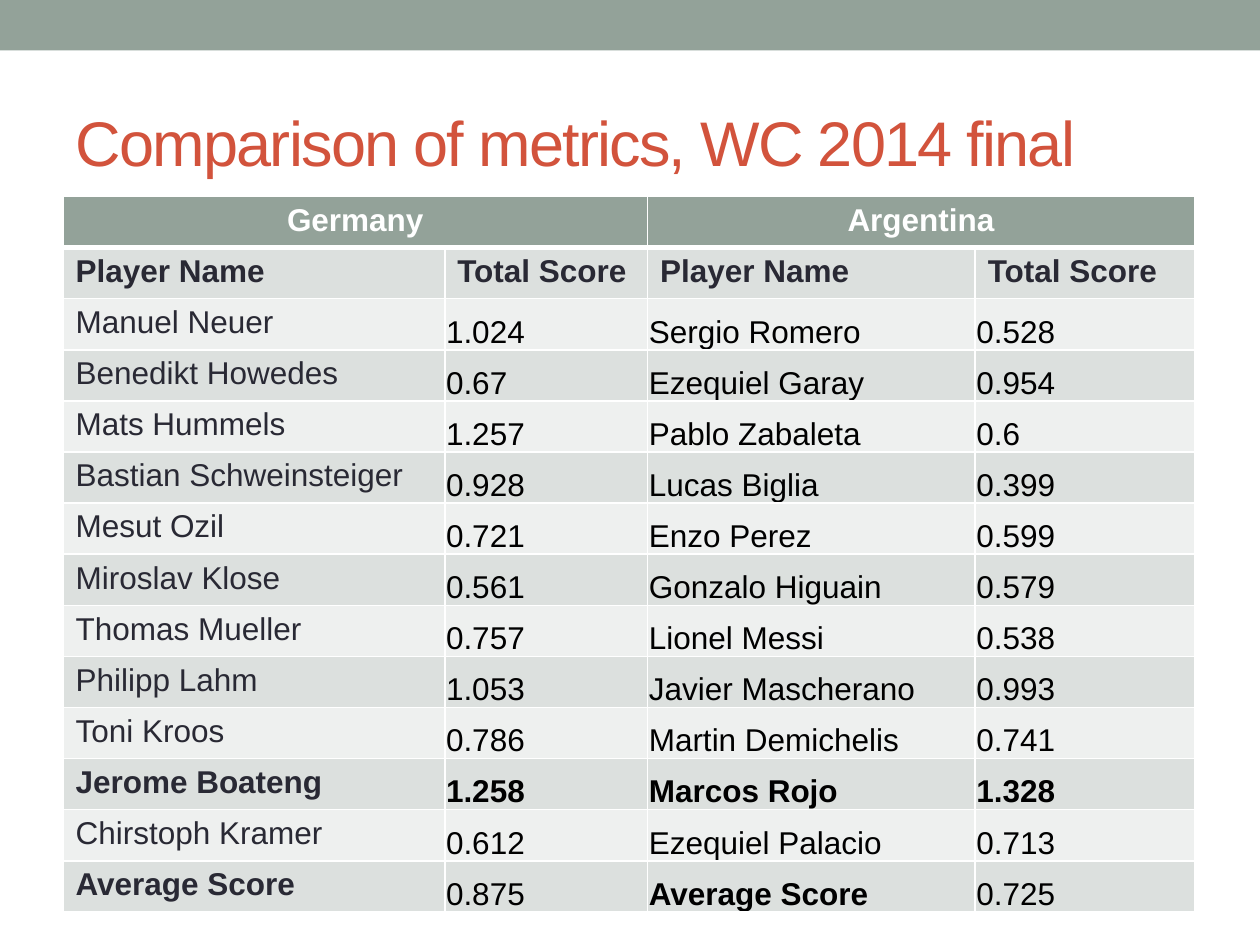
from dataclasses import dataclass

from lxml.etree import SubElement
from pptx import Presentation
from pptx.dml.color import RGBColor
from pptx.enum.shapes import MSO_SHAPE as Shape
from pptx.enum.text import MSO_ANCHOR as Anchor, PP_ALIGN as Align
from pptx.oxml.ns import qn
from pptx.util import Inches, Pt

COLORS = {
    "sage": "93A299", "rust": "D2533C", "ink": "292934", "black": "000000",
    "white": "FFFFFF", "dark_row": "DCE0DE", "light_row": "EEF0EF",
}
FONT = "Arial"
COLUMN_WIDTHS = (3.03, 1.61, 2.6, 1.74)
TABLE_LEFT, TABLE_TOP, TABLE_HEIGHT = 0.5, 1.56, 5.68


@dataclass(frozen=True)
class Entry:
    name: str
    score: str
    bold_name: bool = False
    bold_score: bool = False


@dataclass(frozen=True)
class CellStyle:
    fill: str
    color: str
    bold: bool = False
    align: Align = Align.LEFT
    snug: bool = False
    top: float = 1
    bottom: float = 1


GERMANY = (
    Entry("Manuel Neuer", "1.024"),
    Entry("Benedikt Howedes", "0.67"),
    Entry("Mats Hummels", "1.257"),
    Entry("Bastian Schweinsteiger", "0.928"),
    Entry("Mesut Ozil", "0.721"),
    Entry("Miroslav Klose", "0.561"),
    Entry("Thomas Mueller", "0.757"),
    Entry("Philipp Lahm", "1.053"),
    Entry("Toni Kroos", "0.786"),
    Entry("Jerome Boateng", "1.258", True, True),
    Entry("Chirstoph Kramer", "0.612"),
    Entry("Average Score", "0.875", True),
)
ARGENTINA = (
    Entry("Sergio Romero", "0.528"),
    Entry("Ezequiel Garay", "0.954"),
    Entry("Pablo Zabaleta", "0.6"),
    Entry("Lucas Biglia", "0.399"),
    Entry("Enzo Perez", "0.599"),
    Entry("Gonzalo Higuain", "0.579"),
    Entry("Lionel Messi", "0.538"),
    Entry("Javier Mascherano", "0.993"),
    Entry("Martin Demichelis", "0.741"),
    Entry("Marcos Rojo", "1.328", True, True),
    Entry("Ezequiel Palacio", "0.713"),
    Entry("Average Score", "0.725", True),
)
TEAMS = {"Germany": GERMANY, "Argentina": ARGENTINA}


def rgb(key: str) -> RGBColor:
    return RGBColor.from_string(COLORS[key])


def apply(target, values: dict) -> None:
    for attribute, value in values.items():
        setattr(target, attribute, value)


def write(paragraph, text: str, size: float, color: str, bold: bool = False):
    run = paragraph.add_run()
    run.text = text
    apply(run.font, {"name": FONT, "size": Pt(size), "bold": bold})
    run.font.color.rgb = rgb(color)
    return run


def add_borders(cell, style: CellStyle) -> None:
    properties = cell._tc.get_or_add_tcPr()
    sides = {"lnL": 1, "lnR": 1, "lnT": style.top, "lnB": style.bottom}
    for tag, width in sides.items():
        line = SubElement(properties, qn(f"a:{tag}"), w=str(Pt(width)))
        paint = SubElement(line, qn("a:solidFill"))
        SubElement(paint, qn("a:srgbClr"), val=COLORS["white"])


def fill_cell(cell, text: str, style: CellStyle) -> None:
    add_borders(cell, style)
    cell.fill.solid()
    cell.fill.fore_color.rgb = rgb(style.fill)
    if style.snug:
        edge = Inches(0.01)
        apply(cell, {"margin_left": edge, "margin_right": edge, "margin_top": edge,
                     "margin_bottom": 0, "vertical_anchor": Anchor.BOTTOM})
    paragraph = cell.text_frame.paragraphs[0]
    paragraph.alignment = style.align
    if text:
        write(paragraph, text, 18, style.color, style.bold)


prs = Presentation()
apply(prs, {"slide_width": Inches(10), "slide_height": Inches(7.5)})
slide = prs.slides.add_slide(prs.slide_layouts[5])

# Top band
band = slide.shapes.add_shape(Shape.RECTANGLE, 0, 0, prs.slide_width, Inches(0.4))
band.shadow.inherit = False
band.fill.solid()
band.fill.fore_color.rgb = rgb("sage")
band.line.fill.background()

# Title
title = slide.shapes.title
apply(title, {"left": Inches(0.5), "top": Inches(0.58),
              "width": Inches(9), "height": Inches(1.08)})
apply(title.text_frame, {"word_wrap": True, "vertical_anchor": Anchor.MIDDLE})
heading = title.text_frame.paragraphs[0]
heading.alignment = Align.LEFT
heading_run = write(heading, "Comparison of metrics, WC 2014 final", 36, "rust")
heading_run._r.get_or_add_rPr().set("spc", "-100")

# Score table
row_count = len(GERMANY) + 2
scores = slide.shapes.add_table(
    row_count, len(COLUMN_WIDTHS), Inches(TABLE_LEFT), Inches(TABLE_TOP),
    Inches(sum(COLUMN_WIDTHS)), Inches(TABLE_HEIGHT)).table
for column, width in zip(scores.columns, COLUMN_WIDTHS):
    column.width = Inches(width)
for row in scores.rows:
    row.height = Inches(TABLE_HEIGHT / row_count)

team_style = CellStyle("sage", "white", True, Align.CENTER, bottom=3)
label_style = CellStyle("dark_row", "ink", True, top=3)
for team_index, (team, entries) in enumerate(TEAMS.items()):
    first = 2 * team_index
    # Team name over its two columns
    scores.cell(0, first).merge(scores.cell(0, first + 1))
    for offset, text in enumerate((team, "")):
        fill_cell(scores.cell(0, first + offset), text, team_style)
    # Column labels
    for offset, label in enumerate(("Player Name", "Total Score")):
        fill_cell(scores.cell(1, first + offset), label, label_style)
    # Players and average
    for row_index, entry in enumerate(entries, start=2):
        row_fill = "dark_row" if row_index % 2 else "light_row"
        pairs = ((entry.name, entry.bold_name), (entry.score, entry.bold_score))
        for column_index, (text, bold) in enumerate(pairs, start=first):
            snug = column_index > 0
            style = CellStyle(row_fill, "black" if snug else "ink", bold, snug=snug)
            fill_cell(scores.cell(row_index, column_index), text, style)

prs.save("out.pptx")
